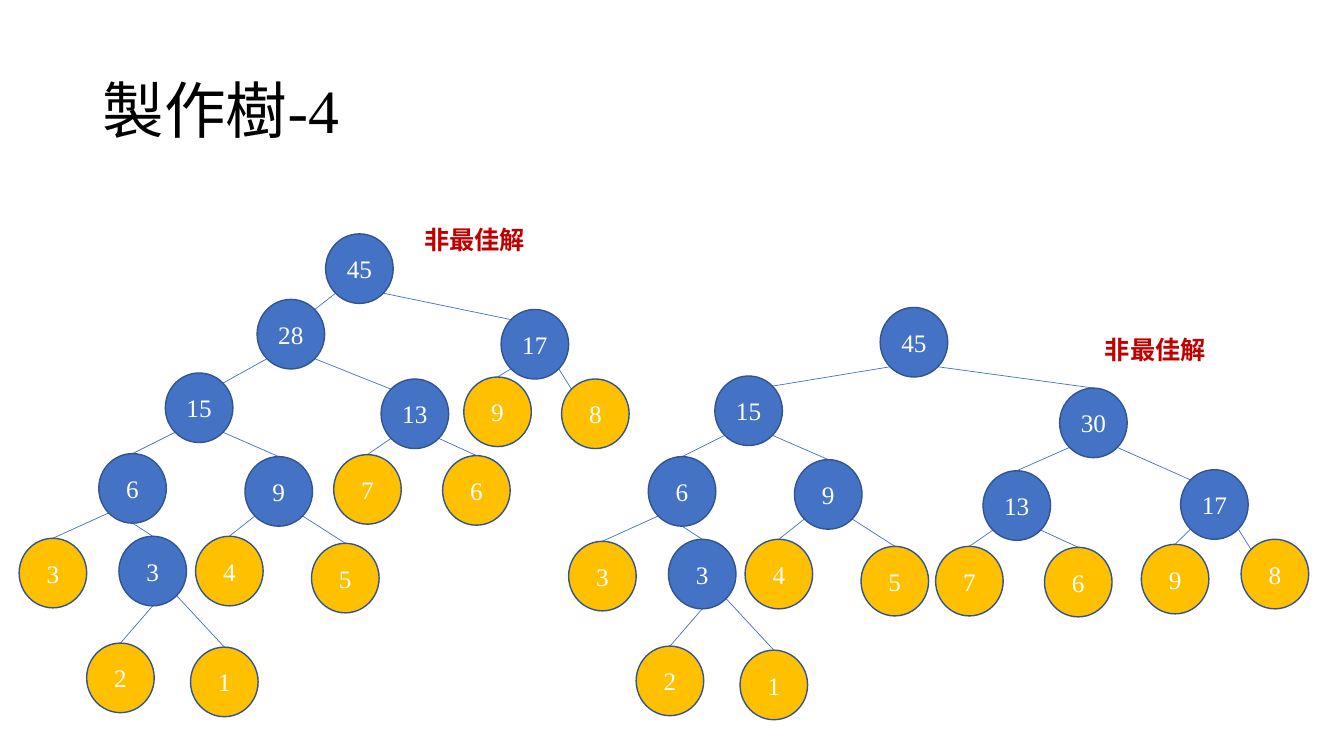
import math
from dataclasses import dataclass

from lxml import etree
from pptx import Presentation
from pptx.dml.color import RGBColor
from pptx.enum import shapes, text
from pptx.oxml import ns
from pptx.util import Inches, Pt

BLACK = RGBColor(0x00, 0x00, 0x00)
WHITE = RGBColor(0xFF, 0xFF, 0xFF)
BLUE = RGBColor(0x44, 0x72, 0xC4)
OUTLINE = RGBColor(0x32, 0x54, 0x91)
GOLD = RGBColor(0xFF, 0xC0, 0x00)
RED = RGBColor(0xC0, 0x00, 0x00)

NODE_WIDTH, NODE_HEIGHT = 0.67, 0.69

# Places on a node's rim, as directions from its centre
DIAGONAL = math.sqrt(0.5)
TOP, BOTTOM = (0, -1), (0, 1)
TOP_LEFT, TOP_RIGHT = (-DIAGONAL, -DIAGONAL), (DIAGONAL, -DIAGONAL)
BOTTOM_LEFT, BOTTOM_RIGHT = (-DIAGONAL, DIAGONAL), (DIAGONAL, DIAGONAL)


@dataclass
class Node:
    """A tree node, placed relative to its parent (a root: to the page)."""
    weight: int
    right: float
    down: float
    children: tuple = ()
    end: tuple = TOP
    start: tuple = None

    def edge_start(self):
        return self.start or (BOTTOM_LEFT if self.right < 0 else BOTTOM_RIGHT)


def rim_point(left, top, side):
    return (left + NODE_WIDTH / 2 * (1 + side[0]),
            top + NODE_HEIGHT / 2 * (1 + side[1]))


class SlideWriter:
    font = "Times New Roman"

    def __init__(self, page):
        self.page = page

    def style(self, para, size, color, bold=False):
        para.font.name = self.font
        para.font.size = Pt(size)
        para.font.color.rgb = color
        para.font.bold = bold

    def label(self, words, left, top, width, height, size, color,
              bold=False, wrap=False, anchor=text.MSO_ANCHOR.TOP):
        box = self.page.shapes.add_textbox(
            Inches(left), Inches(top), Inches(width), Inches(height))
        frame = box.text_frame
        frame.word_wrap = wrap
        frame.vertical_anchor = anchor
        para = frame.paragraphs[0]
        para.text = words
        self.style(para, size, color, bold)
        return para

    def circle(self, words, left, top, fill):
        node = self.page.shapes.add_shape(
            shapes.MSO_SHAPE.OVAL, Inches(left), Inches(top),
            Inches(NODE_WIDTH), Inches(NODE_HEIGHT))
        node.shadow.inherit = False
        node.fill.solid()
        node.fill.fore_color.rgb = fill
        node.line.color.rgb = OUTLINE
        node.line.width = Pt(1)
        frame = node.text_frame
        frame.vertical_anchor = text.MSO_ANCHOR.MIDDLE
        para = frame.paragraphs[0]
        para.text = words
        para.alignment = text.PP_ALIGN.CENTER
        self.style(para, 18, WHITE)

    def edge(self, start, end):
        line = self.page.shapes.add_connector(
            shapes.MSO_CONNECTOR.STRAIGHT,
            *(Inches(value) for value in (*start, *end)))
        line.line.color.rgb = BLUE
        line.line.width = Pt(0.5)
        etree.SubElement(line._element.spPr, ns.qn("a:effectLst"))

    def tree(self, node, left=0, top=0):
        left, top = left + node.right, top + node.down
        for child in node.children:
            self.edge(rim_point(left, top, child.edge_start()),
                      rim_point(left + child.right, top + child.down, child.end))
            self.tree(child, left, top)
        self.circle(str(node.weight), left, top, BLUE if node.children else GOLD)


# Subtrees that both trees share
def subtree_15(right, down):
    three = Node(3, 0.2, 0.82, (
        Node(2, -0.32, 1.06, start=BOTTOM),
        Node(1, 0.71, 1.1)), start=BOTTOM)
    six = Node(6, -0.66, 0.8, (Node(3, -0.79, 0.84), three))
    nine = Node(9, 0.79, 0.83, (Node(4, -0.49, 0.79), Node(5, 0.66, 0.86)))
    return Node(15, right, down, (six, nine), end=TOP_RIGHT)


def subtree_13(right, down, end):
    return Node(13, right, down,
                (Node(7, -0.47, 0.75), Node(6, 0.61, 0.76)), end)


def subtree_17(right, down, nine_right, nine_down):
    return Node(17, right, down, (
        Node(9, nine_right, nine_down),
        Node(8, 0.6, 0.69, end=TOP_LEFT)), TOP_LEFT)


left_tree = Node(45, 3.23, 2.32, (
    Node(28, -0.68, 0.65, (
        subtree_15(-0.91, 0.73),
        subtree_13(1.23, 0.79, TOP_LEFT)), end=TOP_RIGHT),
    subtree_17(1.74, 0.75, -0.37, 0.67)))

right_tree = Node(45, 8.73, 3.05, (
    subtree_15(-1.64, 0.68),
    Node(30, 1.78, 0.8, (
        subtree_13(-0.76, 0.82, TOP),
        subtree_17(1.2, 0.81, -0.39, 0.74)))))

deck = Presentation()
deck.slide_width, deck.slide_height = Inches(13.33), Inches(7.5)
writer = SlideWriter(deck.slides.add_slide(deck.slide_layouts[6]))

# Title
title = writer.label("製作樹-4", 0.92, 0.4, 11.5, 1.45, 44, BLACK,
                     wrap=True, anchor=text.MSO_ANCHOR.MIDDLE)
title.line_spacing = 0.9

# Trees with their verdicts
for tree, left, top in ((left_tree, 4.11, 2.18), (right_tree, 10.86, 3.27)):
    writer.tree(tree)
    writer.label("非最佳解", left, top, 1.21, 0.4, 18, RED, bold=True)

deck.save("out.pptx")
